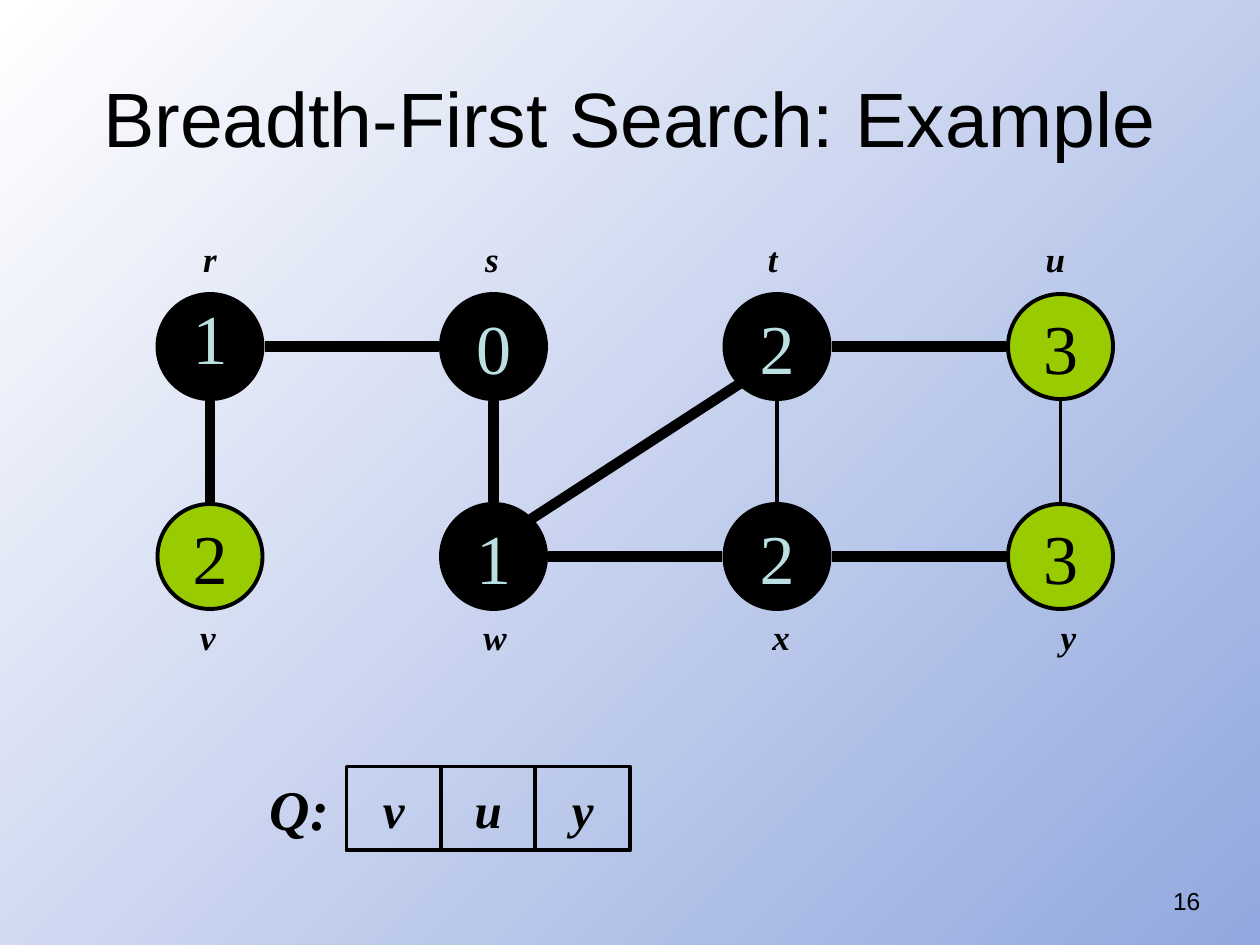
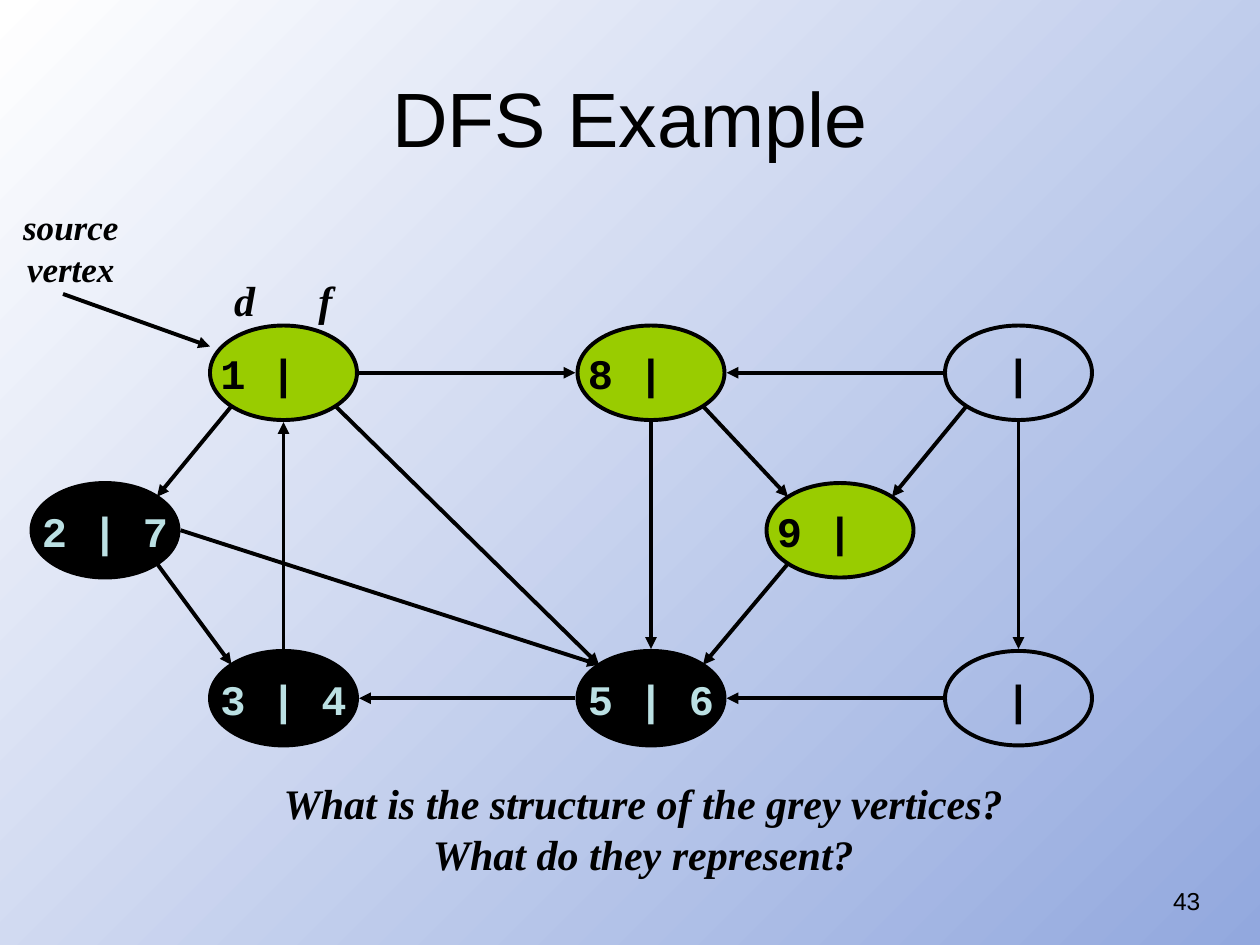
from dataclasses import dataclass
from math import sqrt

from lxml import etree
from pptx import Presentation
from pptx.dml.color import RGBColor
from pptx.enum.shapes import MSO_CONNECTOR, MSO_SHAPE
from pptx.enum.text import MSO_ANCHOR, PP_ALIGN
from pptx.oxml.ns import qn
from pptx.util import Emu, Inches, Pt

OVAL, RECTANGLE = MSO_SHAPE.OVAL, MSO_SHAPE.RECTANGLE
STRAIGHT = MSO_CONNECTOR.STRAIGHT
TOP, MIDDLE = MSO_ANCHOR.TOP, MSO_ANCHOR.MIDDLE
CENTER, RIGHT = PP_ALIGN.CENTER, PP_ALIGN.RIGHT

UNIT = Inches(1) / 12
COLS, ROWS = 120, 90


@dataclass(frozen=True)
class TextStyle:
    font: str
    size: int
    bold: bool = False
    italic: bool = False


@dataclass(frozen=True)
class Theme:
    ink = RGBColor.from_string("000000")
    pale = RGBColor.from_string("BBE0E3")
    green = RGBColor.from_string("99CC00")
    backdrop = (RGBColor.from_string("FFFFFF"), RGBColor.from_string("92A8DE"))
    thin = 2.25
    thick = 6
    title = TextStyle("Arial", 44)
    number = TextStyle("Arial", 14)
    distance = TextStyle("Times New Roman", 40)
    times = TextStyle("Courier New", 24, bold=True)
    label = TextStyle("Times New Roman", 20, bold=True, italic=True)
    note = TextStyle("Times New Roman", 24, bold=True, italic=True)
    cell = TextStyle("Times New Roman", 28, bold=True, italic=True)
    queue = TextStyle("Times New Roman", 32, bold=True, italic=True)


THEME = Theme()
FILLS = {"done": THEME.ink, "open": THEME.green, "new": None}


def grid(count):
    return Emu(round(count * UNIT))


@dataclass(frozen=True)
class Box:
    col: float
    row: float
    cols: float
    rows: float

    def inner(self, col, row, cols, rows):
        return Box(self.col + col, self.row + row, cols, rows)

    def lengths(self):
        return [grid(n) for n in (self.col, self.row, self.cols, self.rows)]

    def site(self, name, gap=0.2):
        across = ("e" in name) - ("w" in name)
        down = ("s" in name) - ("n" in name)
        if across and down:
            reach_x, reach_y = (n / 2 * sqrt(0.5) for n in (self.cols, self.rows))
        else:
            reach_x, reach_y = self.cols / 2 + gap, self.rows / 2 + gap
        return (self.col + self.cols / 2 + across * reach_x,
                self.row + self.rows / 2 + down * reach_y)


def write(shape, lines, style, color=THEME.ink, align=CENTER, anchor=MIDDLE, wrap=False):
    frame = shape.text_frame
    frame.word_wrap = wrap
    frame.vertical_anchor = anchor
    for index, line in enumerate(lines):
        para = frame.add_paragraph() if index else frame.paragraphs[0]
        para.text = line
        para.alignment = align
        para.font.name = style.font
        para.font.size = Pt(style.size)
        para.font.bold = style.bold
        para.font.italic = style.italic
        para.font.color.rgb = color
    return frame


def add_text(page, box, lines, style, **options):
    return write(page.shapes.add_textbox(*box.lengths()), lines, style, **options)


def add_cell(page, kind, box, text, style, fill=None):
    shape = page.shapes.add_shape(kind, *box.lengths())
    shape.shadow.inherit = False
    if fill is None:
        shape.fill.background()
    else:
        shape.fill.solid()
        shape.fill.fore_color.rgb = fill
    shape.line.color.rgb = THEME.ink
    shape.line.width = Pt(THEME.thin)
    color = THEME.pale if fill == THEME.ink else THEME.ink
    return write(shape, [text], style, color=color)


def add_edge(page, start, end, width=THEME.thin, arrow=False):
    edge = page.shapes.add_connector(STRAIGHT, *(grid(n) for n in (*start, *end)))
    edge.line.color.rgb = THEME.ink
    edge.line.width = Pt(width)
    properties = edge._element.spPr
    if arrow:
        etree.SubElement(properties.find(qn("a:ln")), qn("a:tailEnd"), type="triangle")
    etree.SubElement(properties, qn("a:effectLst"))


def add_page(deck, title, number):
    page = deck.slides.add_slide(deck.slide_layouts[6])
    fill = page.background.fill
    fill.gradient()
    fill.gradient_angle = 315
    for stop, color in zip(fill.gradient_stops, THEME.backdrop):
        stop.color.rgb = color
    add_text(page, Box(6, 3.6, 108, 15), [title], THEME.title, wrap=True)
    add_text(page, Box(87.5, 83.75, 28, 6.25), [number], THEME.number,
             align=RIGHT, anchor=TOP, wrap=True)
    return page


def draw_distance_graph(page, box):
    size, col_step, row_step, label_rows = 10, 27, 20, 6
    vertices = {
        "r": (0, 0, "1", "done", 0), "s": (1, 0, "0", "done", -0.15),
        "t": (2, 0, "2", "done", -0.4), "u": (3, 0, "3", "open", -0.5),
        "v": (0, 1, "2", "open", -0.2), "w": (1, 1, "1", "done", 0.15),
        "x": (2, 1, "2", "done", 0.4), "y": (3, 1, "3", "open", 0.75),
    }
    edges = [
        ("v", "n", "r", "s", THEME.thick), ("r", "e", "s", "w", THEME.thick),
        ("s", "s", "w", "n", THEME.thick), ("w", "ne", "t", "sw", THEME.thick),
        ("w", "e", "x", "w", THEME.thick), ("x", "n", "t", "s", THEME.thin),
        ("t", "e", "u", "w", THEME.thick), ("x", "e", "y", "w", THEME.thick),
        ("y", "n", "u", "s", THEME.thin),
    ]
    nodes = {}
    for name, (col, row, distance, state, nudge) in vertices.items():
        node = box.inner(col * col_step, label_rows + row * row_step, size, size)
        nodes[name] = node
        frame = add_cell(page, OVAL, node, distance, THEME.distance, FILLS[state])
        if name == "r":
            frame.paragraphs[0].line_spacing = 0.7
        label_row = size if row else -label_rows
        add_text(page, node.inner(nudge, label_row, size, 5), [name], THEME.label, anchor=TOP)
    for source, leave, target, enter, width in edges:
        add_edge(page, nodes[source].site(leave), nodes[target].site(enter), width)


def draw_queue(page, box, names):
    cols = box.cols / (len(names) + 1)
    add_text(page, box.inner(0, 0, cols, box.rows), ["Q:"], THEME.queue)
    for index, name in enumerate(names, 1):
        add_cell(page, RECTANGLE, box.inner(index * cols, 0, cols, box.rows), name, THEME.cell)


def draw_time_graph(page, box):
    cols, rows = 14, 9
    vertices = {
        "source": (17, 0, "1 |", "open"), "top": (52, 0, "8 |", "open"),
        "corner": (87, 0, "|", "new"), "last": (87, 31, "|", "new"),
        "bottom": (52, 31, "5 | 6", "done"), "third": (17, 31, "3 | 4", "done"),
        "second": (0, 15, "2 | 7", "done"), "ninth": (70, 15, "9 |", "open"),
    }
    edges = [
        ("source", "sw", "second", "ne"), ("second", "se", "third", "nw"),
        ("second", "e", "bottom", "nw"), ("bottom", "w", "third", "e"),
        ("third", "n", "source", "s"), ("source", "se", "bottom", "nw"),
        ("top", "s", "bottom", "n"), ("source", "e", "top", "w"),
        ("corner", "w", "top", "e"), ("top", "se", "ninth", "nw"),
        ("corner", "sw", "ninth", "ne"), ("corner", "s", "last", "n"),
        ("last", "w", "bottom", "e"), ("ninth", "sw", "bottom", "ne"),
    ]
    nodes = {}
    for name, (col, row, text, state) in vertices.items():
        nodes[name] = box.inner(col, row, cols, rows)
        frame = add_cell(page, OVAL, nodes[name], text, THEME.times, FILLS[state])
        frame.margin_left = 0
        frame.margin_right = Inches(0.4) if text.endswith(" |") else 0
    for source, leave, target, enter in edges:
        add_edge(page, nodes[source].site(leave), nodes[target].site(enter), arrow=True)
    return nodes["source"]


def draw_source_notes(page, source):
    add_edge(page, (source.col - 14, source.row - 3), (source.col, source.row + 2), arrow=True)
    add_text(page, source.inner(-19, -12, 11.5, 9), ["source\vvertex"], THEME.label, anchor=TOP)
    for col, letter in ((0.3, "d"), (8, "f")):
        add_text(page, source.inner(col, -7, 6, 9), [letter], THEME.note)


def draw_question(page, box):
    lines = ["What is the structure of the grey vertices?", "What do they represent?"]
    frame = add_text(page, box, lines, THEME.note, anchor=TOP, wrap=True)
    frame.paragraphs[0]._p.get_or_add_pPr().set("marR", str(Inches(0.17)))


def main():
    deck = Presentation()
    deck.slide_width, deck.slide_height = grid(COLS), grid(ROWS)

    breadth = add_page(deck, "Breadth-First Search: Example", "16")
    draw_distance_graph(breadth, Box(15, 22, 91, 41))
    draw_queue(breadth, Box(24, 73, 36, 8), "vuy")

    depth = add_page(deck, "DFS Example", "43")
    source = draw_time_graph(depth, Box(3, 31, 101, 40))
    draw_source_notes(depth, source)
    draw_question(depth, Box(25.8, 73.5, 73, 10.8))

    deck.save("out.pptx")


if __name__ == "__main__":
    main()
